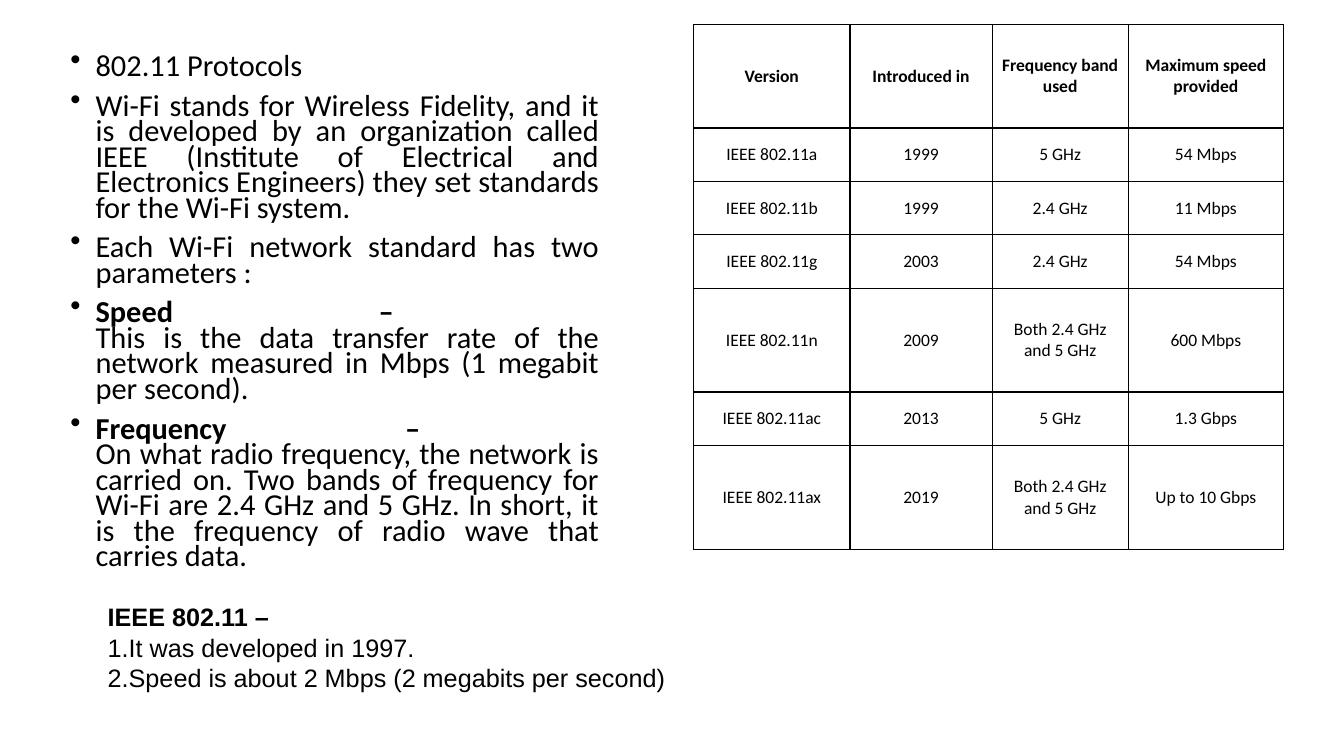
from lxml import etree
from pptx import Presentation
from pptx.dml.color import RGBColor
from pptx.enum.text import MSO_ANCHOR, MSO_AUTO_SIZE, PP_ALIGN
from pptx.oxml.ns import qn
from pptx.util import Inches, Pt

BLACK = RGBColor(0, 0, 0)
LEFT, CENTER, JUSTIFY = PP_ALIGN.LEFT, PP_ALIGN.CENTER, PP_ALIGN.JUSTIFY
MIDDLE = MSO_ANCHOR.MIDDLE
FIT_SHAPE = MSO_AUTO_SIZE.SHAPE_TO_FIT_TEXT

# Content: (bold lead, text, alignment)
PROTOCOL_POINTS = [
    ("", "802.11 Protocols", LEFT),
    ("", "Wi-Fi stands for Wireless Fidelity, and it is developed by an organization "
     "called IEEE (Institute of Electrical and Electronics Engineers) they set "
     "standards for the Wi-Fi system.", JUSTIFY),
    ("", "Each Wi-Fi network standard has two parameters :", JUSTIFY),
    ("Speed – ", "This is the data transfer rate of the network measured in Mbps "
     "(1 megabit per second).", JUSTIFY),
    ("Frequency – ", "On what radio frequency, the network is carried on. Two bands "
     "of frequency for Wi-Fi are 2.4 GHz and 5 GHz. In short, it is the frequency of "
     "radio wave that carries data.", JUSTIFY),
]
STANDARD_HEADING = "IEEE 802.11 –"
STANDARD_FACTS = [
    "It was developed in 1997.",
    "Speed is about 2 Mbps (2 megabits per second)",
]
VERSIONS = [
    ("Version", "Introduced in", "Frequency band used", "Maximum speed provided"),
    ("IEEE 802.11a", "1999", "5 GHz", "54 Mbps"),
    ("IEEE 802.11b", "1999", "2.4 GHz", "11 Mbps"),
    ("IEEE 802.11g", "2003", "2.4 GHz", "54 Mbps"),
    ("IEEE 802.11n", "2009", "Both 2.4 GHz and 5 GHz", "600 Mbps"),
    ("IEEE 802.11ac", " 2013 ", "5 GHz", "1.3 Gbps"),
    ("IEEE 802.11ax", "2019", "Both 2.4 GHz and 5 GHz", "Up to 10 Gbps"),
]

# Layout in inches
POINTS_BOX = (0.6, 0.51, 5.44, 5.41)
STANDARD_BOX = (0.97, 5.92, 6.67, 1.01)
TABLE_LEFT, TABLE_TOP = 6.88, 0.24
COLUMN_WIDTHS = (1.55, 1.41, 1.35, 1.54)
SHORT_ROW, TALL_ROW = 0.53, 1.03
TALL_ROWS = (0, 4, 6)
BULLET_INDENT = 0.25
CELL_MARGIN_X, CELL_MARGIN_Y = 0.08, 0.12


def set_font(paragraph, name, size, bold=None):
    paragraph.font.name = name
    paragraph.font.size = Pt(size)
    paragraph.font.bold = bold
    paragraph.font.color.rgb = BLACK


def set_bullet(paragraph, tag, indent=0, **attributes):
    properties = paragraph._p.get_or_add_pPr()
    properties.set("marL", str(Inches(indent)))
    properties.set("indent", str(-Inches(indent)))
    bullet = properties.makeelement(qn(tag), attributes)
    # Bullets come before the default run properties
    properties.insert_element_before(bullet, "a:tabLst", "a:defRPr", "a:extLst")


def add_text_frame(slide, box):
    text_frame = slide.shapes.add_textbox(*map(Inches, box)).text_frame
    text_frame.word_wrap = True
    return text_frame


def paragraphs_for(text_frame, items):
    for index, item in enumerate(items):
        yield (text_frame.add_paragraph() if index else text_frame.paragraphs[0]), item


def set_borders(cell):
    properties = cell._tc.get_or_add_tcPr()
    for position, side in enumerate(("a:lnL", "a:lnR", "a:lnT", "a:lnB")):
        line = etree.Element(qn(side), w=str(Pt(1)))
        fill = etree.SubElement(line, qn("a:solidFill"))
        etree.SubElement(fill, qn("a:srgbClr"), val=str(BLACK))
        properties.insert(position, line)


def add_protocol_points(slide):
    text_frame = add_text_frame(slide, POINTS_BOX)
    for paragraph, (lead, text, alignment) in paragraphs_for(text_frame, PROTOCOL_POINTS):
        paragraph.alignment = alignment
        paragraph.line_spacing = 0.7
        paragraph.space_before = Pt(10)
        set_font(paragraph, "Calibri", 21.7)
        set_bullet(paragraph, "a:buChar", BULLET_INDENT, char="•")
        if lead:
            lead_run = paragraph.add_run()
            lead_run.text = lead
            lead_run.font.bold = True
            paragraph.add_line_break()
        paragraph.add_run().text = text


def add_standard_facts(slide):
    text_frame = add_text_frame(slide, STANDARD_BOX)
    text_frame.auto_size = FIT_SHAPE
    lines = [STANDARD_HEADING] + STANDARD_FACTS
    for paragraph, line in paragraphs_for(text_frame, lines):
        is_heading = line == STANDARD_HEADING
        paragraph.text = line
        set_font(paragraph, "Arial", 18, is_heading)
        if not is_heading:
            set_bullet(paragraph, "a:buAutoNum", type="arabicPeriod")


def add_version_table(slide):
    heights = [TALL_ROW if row in TALL_ROWS else SHORT_ROW for row in range(len(VERSIONS))]
    size = (sum(COLUMN_WIDTHS), sum(heights))
    table = slide.shapes.add_table(
        len(VERSIONS), len(COLUMN_WIDTHS),
        *map(Inches, (TABLE_LEFT, TABLE_TOP, *size))).table
    table.first_row = table.horz_banding = False
    for column, width in zip(table.columns, COLUMN_WIDTHS):
        column.width = Inches(width)
    for row_index, (row, height, values) in enumerate(zip(table.rows, heights, VERSIONS)):
        row.height = Inches(height)
        for cell, value in zip(row.cells, values):
            cell.text = value
            cell.vertical_anchor = MIDDLE
            cell.margin_left = cell.margin_right = Inches(CELL_MARGIN_X)
            cell.margin_top = cell.margin_bottom = Inches(CELL_MARGIN_Y)
            cell.fill.background()
            set_borders(cell)
            paragraph = cell.text_frame.paragraphs[0]
            paragraph.alignment = CENTER
            set_font(paragraph, "Calibri", 12.5, row_index == 0)


def main():
    presentation = Presentation()
    presentation.slide_width, presentation.slide_height = Inches(13.33), Inches(7.5)
    slide = presentation.slides.add_slide(presentation.slide_layouts[6])
    add_protocol_points(slide)
    add_standard_facts(slide)
    add_version_table(slide)
    presentation.save("out.pptx")


if __name__ == "__main__":
    main()
